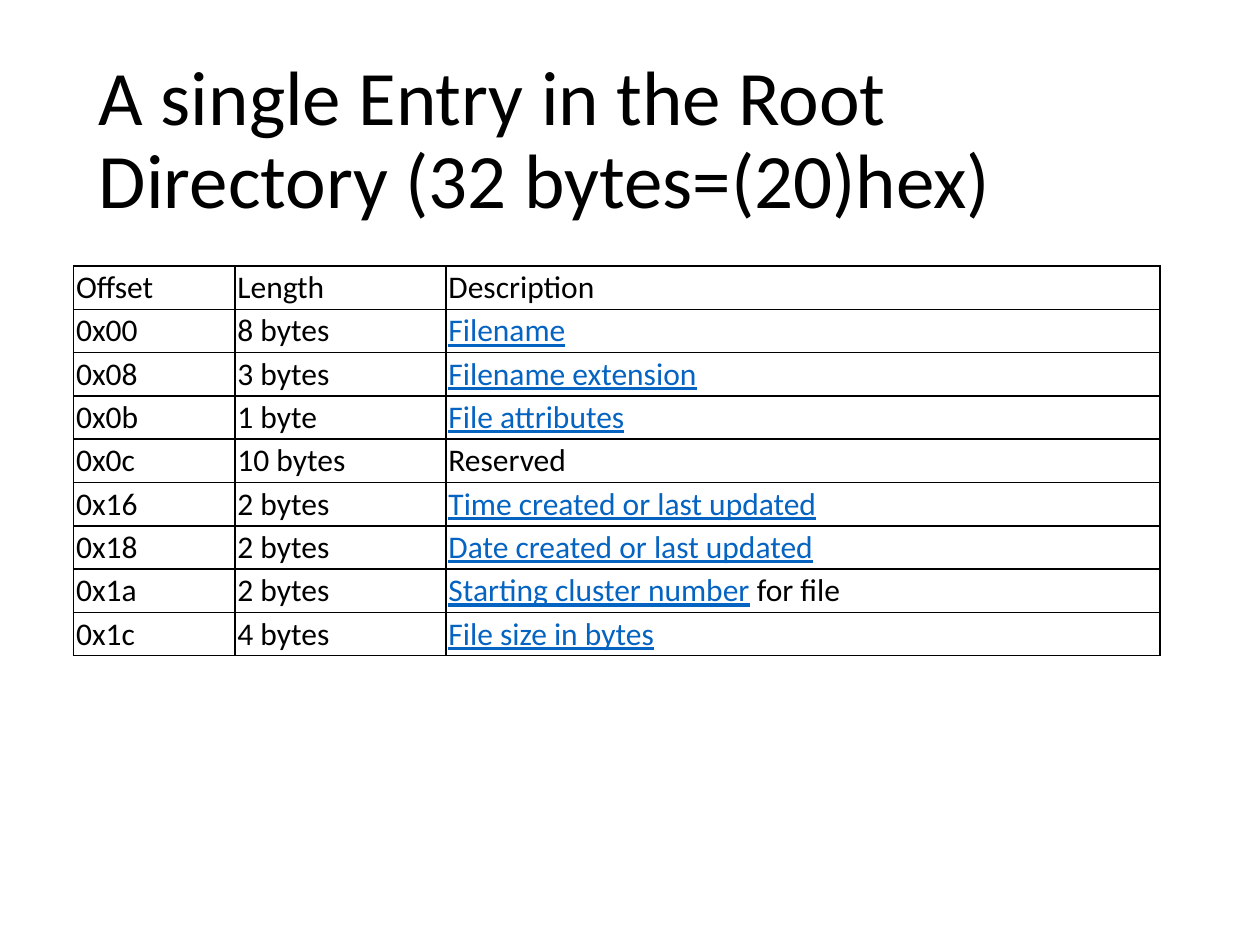
from lxml import etree
from pptx import Presentation
from pptx.dml.color import RGBColor
from pptx.enum.text import MSO_ANCHOR
from pptx.oxml.ns import qn
from pptx.util import Pt

MIDDLE = MSO_ANCHOR.MIDDLE
BLACK, WHITE, BLUE = "000000", "FFFFFF", "0563C1"
FONT = "Calibri"
COLS = [92.2, 120.6, 408]
ROW = 24.77
INSET = 1.5

# Each row: offset, length, underlined term, plain text after it
ROWS = [
    ("Offset", "Length", "", "Description"),
    ("0x00", "8 bytes", "Filename", ""),
    ("0x08", "3 bytes", "Filename extension", ""),
    ("0x0b", "1 byte", "File attributes", ""),
    ("0x0c", "10 bytes", "", "Reserved"),
    ("0x16", "2 bytes", "Time created or last updated", ""),
    ("0x18", "2 bytes", "Date created or last updated", ""),
    ("0x1a", "2 bytes", "Starting cluster number", " for file"),
    ("0x1c", "4 bytes", "File size in bytes", ""),
]


def color(code):
    return RGBColor.from_string(code)


def write(para, text, size=18, ink=BLACK, line=False):
    run = para.add_run()
    run.text = text
    font = run.font
    font.name, font.size = FONT, Pt(size)
    font.color.rgb = color(ink)
    font.underline = line


def add_title(slide, text):
    box = slide.shapes.add_textbox(Pt(49.5), Pt(28.75), Pt(621), Pt(104.4))
    frame = box.text_frame
    frame.word_wrap = True
    frame.vertical_anchor = MIDDLE
    para = frame.paragraphs[0]
    para.line_spacing = 0.9
    write(para, text, size=44)


def add_border(cell, ink=BLACK, width=1):
    props = cell._tc.get_or_add_tcPr()
    for side in ("a:lnL", "a:lnR", "a:lnT", "a:lnB"):
        edge = etree.SubElement(props, qn(side), w=str(Pt(width)))
        fill = etree.SubElement(edge, qn("a:solidFill"))
        etree.SubElement(fill, qn("a:srgbClr"), val=ink)


def style_cell(cell):
    add_border(cell)
    cell.fill.solid()
    cell.fill.fore_color.rgb = color(WHITE)
    cell.vertical_anchor = MIDDLE
    cell.margin_left = cell.margin_right = Pt(INSET)
    cell.margin_top = cell.margin_bottom = Pt(INSET)


def add_grid(slide, rows):
    table = slide.shapes.add_table(
        len(rows), len(COLS), Pt(42), Pt(152),
        Pt(sum(COLS)), Pt(ROW * len(rows))).table
    for col, width in zip(table.columns, COLS):
        col.width = Pt(width)
    for row, (offset, length, term, rest) in zip(table.rows, rows):
        row.height = Pt(ROW)
        for cell in row.cells:
            style_cell(cell)
        first, second, third = [
            cell.text_frame.paragraphs[0] for cell in row.cells]
        write(first, offset)
        write(second, length)
        if term:
            write(third, term, ink=BLUE, line=True)
        if rest:
            write(third, rest)


def main():
    deck = Presentation()
    deck.slide_width, deck.slide_height = Pt(720), Pt(540)
    slide = deck.slides.add_slide(deck.slide_layouts[6])
    add_title(slide, "A single Entry in the Root Directory (32 bytes=(20)hex)")
    add_grid(slide, ROWS)
    deck.save("out.pptx")


if __name__ == "__main__":
    main()
